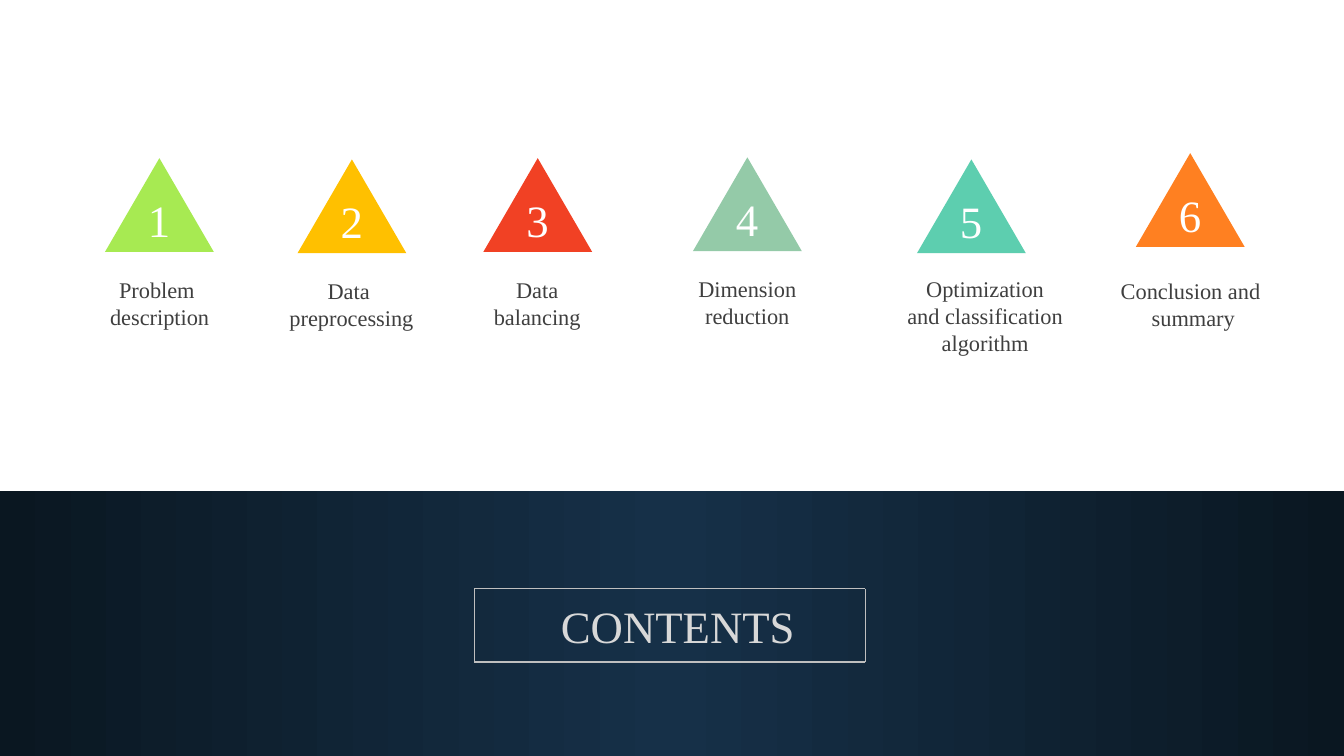
from pptx import Presentation
from pptx.dml.color import RGBColor
from pptx.enum.shapes import MSO_CONNECTOR, MSO_SHAPE
from pptx.enum.text import MSO_ANCHOR, MSO_AUTO_SIZE, PP_ALIGN
from pptx.oxml.ns import qn
from pptx.util import Pt
from lxml import etree

STRAIGHT = MSO_CONNECTOR.STRAIGHT
RECTANGLE, TRIANGLE = MSO_SHAPE.RECTANGLE, MSO_SHAPE.ISOSCELES_TRIANGLE
TOP, CENTER, FIXED = MSO_ANCHOR.TOP, PP_ALIGN.CENTER, MSO_AUTO_SIZE.NONE

COLORS = {
    "band_center": "163048", "band_edge": "0A1721", "frame": "BFBFBF",
    "title": "D8D8D8", "label": "3F3F3F", "number": "FFFFFF",
    "lime": "A7EA52", "amber": "FFC000", "red": "F14124",
    "sage": "94CAA8", "teal": "5DCEAF", "orange": "FF8021",
}


def color(name):
    return RGBColor.from_string(COLORS[name])


def write(box, lines, size, color_name, wrap=False):
    frame = box.text_frame
    for name, value in {"word_wrap": wrap, "auto_size": FIXED, "vertical_anchor": TOP,
                        "margin_left": Pt(7.2), "margin_right": Pt(7.2),
                        "margin_top": Pt(3.6), "margin_bottom": Pt(3.6)}.items():
        setattr(frame, name, value)
    for index, line in enumerate(lines):
        para = frame.paragraphs[0] if index == 0 else frame.add_paragraph()
        para.alignment = CENTER
        span = para.add_run()
        span.text = line
        for name, value in {"name": "Times New Roman", "size": Pt(size), "bold": False}.items():
            setattr(span.font, name, value)
        span.font.color.rgb = color(color_name)


deck = Presentation()
deck.slide_width, deck.slide_height = Pt(960.5), Pt(540)
page = deck.slides.add_slide(deck.slide_layouts[5])

for left, width, angle in [(0, 479, 180), (479, 481.5, 0)]:
    band = page.shapes.add_shape(RECTANGLE, Pt(left), Pt(351), Pt(width), Pt(189))
    band.shadow.inherit = False
    band.line.fill.background()
    band.fill.gradient()
    band.fill.gradient_angle = angle
    for stop, name in zip(band.fill.gradient_stops, ["band_center", "band_edge"]):
        stop.color.rgb = color(name)

title = page.shapes.title
title.element.getparent().append(title.element)
title.left, title.top, title.width, title.height = Pt(354), Pt(424), Pt(261), Pt(46)
write(title, ["CONTENTS"], 32, "title", wrap=True)

corners = [(339, 420.5), (618.5, 420.5), (618.5, 473), (339, 473)]
for start, end in zip(corners, corners[1:] + corners[:1]):
    edge = page.shapes.add_connector(STRAIGHT, *map(Pt, start + end))
    edge.line.color.rgb = color("frame")
    edge.line.width = Pt(1)
    etree.SubElement(edge.element.spPr, qn("a:effectLst"))

topics = [
    ("lime", 75, 113, 71.6, 193.7, 85, ["Problem ", "description"]),
    ("amber", 212.6, 113.9, 199.7, 194.4, 103, ["Data ", "preprocessing"]),
    ("red", 345.4, 113, 345.8, 193.7, 76.3, ["Data", "balancing"]),
    ("sage", 495.2, 112.4, 492, 193, 84.2, ["Dimension", "reduction"]),
    ("teal", 655.3, 113.9, 641.4, 193, 125.3,
     ["Optimization", "and classification", "algorithm"]),
    ("orange", 811.7, 109.4, 793.9, 194.4, 113.8, ["Conclusion and", " summary"]),
]
for number, (fill, left, top, label_left, label_top, label_width, lines) in enumerate(topics, 1):
    label = page.shapes.add_textbox(
        Pt(label_left), Pt(label_top), Pt(label_width), Pt(7.2 + 19.4 * len(lines)))
    write(label, lines, 16, "label")

    badge = page.shapes.add_group_shape()
    triangle = badge.shapes.add_shape(TRIANGLE, Pt(left), Pt(top), Pt(77.8), Pt(67))
    triangle.shadow.inherit = False
    triangle.line.fill.background()
    triangle.fill.solid()
    triangle.fill.fore_color.rgb = color(fill)
    digit = badge.shapes.add_textbox(Pt(left + 23.6), Pt(top + 20.9), Pt(30.3), Pt(46))
    write(digit, [str(number)], 32, "number")

deck.save("out.pptx")
